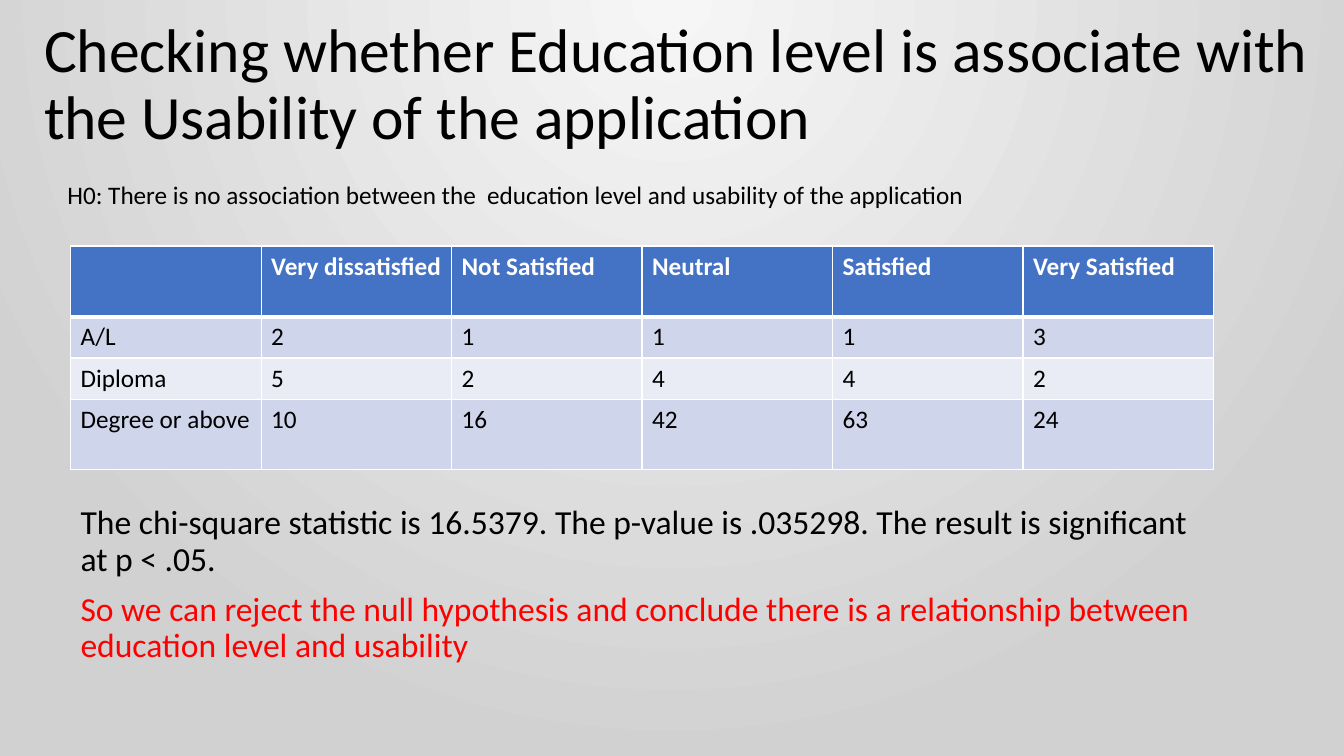
from lxml.etree import SubElement
from pptx import Presentation
from pptx.dml.color import RGBColor
from pptx.enum.text import MSO_ANCHOR
from pptx.oxml import parse_xml
from pptx.oxml.ns import nsdecls, qn
from pptx.util import Cm, Pt

BLACK = RGBColor(0x00, 0x00, 0x00)
WHITE = RGBColor(0xFF, 0xFF, 0xFF)
RED = RGBColor(0xFF, 0x00, 0x00)
HEADER_BLUE = RGBColor(0x44, 0x72, 0xC4)
BAND_DARK = RGBColor(0xCF, 0xD5, 0xEA)
BAND_LIGHT = RGBColor(0xE9, 0xEB, 0xF5)
GLOW = RGBColor(0xF6, 0xF6, 0xF6)
GREY = RGBColor(0xD2, 0xD1, 0xD1)


def write(para, text, size=18, color=BLACK, bold=False, line=None, before=None):
    para.line_spacing = line
    para.space_before = before
    span = para.add_run()
    span.text = text
    span.font.name = "Calibri"
    span.font.size = Pt(size)
    span.font.bold = bold
    span.font.color.rgb = color


def add_text_frame(left, top, width, height, anchor=MSO_ANCHOR.TOP):
    box = page.shapes.add_textbox(Cm(left), Cm(top), Cm(width), Cm(height))
    box.text_frame.word_wrap = True
    box.text_frame.vertical_anchor = anchor
    return box.text_frame


deck = Presentation()
deck.slide_width = Cm(33.87)
deck.slide_height = Cm(19.05)
page = deck.slides.add_slide(deck.slide_layouts[6])

backdrop = page.background.fill
backdrop.gradient()
for stop, color, position in zip(backdrop.gradient_stops, (GLOW, GREY), (0, 1)):
    stop.color.rgb = color
    stop.position = position
gradient = page.element.find(".//" + qn("a:gradFill"))
gradient.remove(gradient.find(qn("a:lin")))
circle = SubElement(gradient, qn("a:path"), path="circle")
SubElement(circle, qn("a:fillToRect"), l="43000", t="0", r="43000", b="100000")

title = add_text_frame(0.86, 0.33, 32.46, 3.68, MSO_ANCHOR.MIDDLE)
write(title.paragraphs[0],
      "Checking whether Education level is associate with the Usability of the application",
      size=44, line=0.9)

findings = add_text_frame(1.78, 12.62, 29.21, 5.28)
write(findings.paragraphs[0],
      "The chi-square statistic is 16.5379. The p-value is .035298. "
      "The result is significant at p < .05.",
      size=24, line=0.9, before=Pt(10))
write(findings.add_paragraph(),
      "So we can reject the null hypothesis and conclude there is a relationship "
      "between education level and usability",
      size=24, color=RED, line=0.9, before=Pt(10))

answers = [
    ["", "Very dissatisfied", "Not Satisfied", "Neutral", "Satisfied", "Very Satisfied"],
    ["A/L", "2", "1", "1", "1", "3"],
    ["Diploma", "5", "2", "4", "4", "2"],
    ["Degree or above", "10", "16", "42", "63", "24"],
]
row_heights = [1.78, 1.04, 1.04, 1.78]
row_fills = [HEADER_BLUE, BAND_DARK, BAND_LIGHT, BAND_DARK]
table = page.shapes.add_table(
    len(answers), len(answers[0]), Cm(1.78), Cm(6.2), Cm(28.78), Cm(sum(row_heights))
).table
for column in table.columns:
    column.width = Cm(4.8)

for row_index, labels in enumerate(answers):
    table.rows[row_index].height = Cm(row_heights[row_index])
    is_header = row_index == 0
    weights = {"L": 1, "R": 1, "T": 3 if row_index == 1 else 1, "B": 3 if is_header else 1}
    for column_index, label in enumerate(labels):
        cell = table.cell(row_index, column_index)
        cell.fill.solid()
        cell.fill.fore_color.rgb = row_fills[row_index]
        if label:
            write(cell.text_frame.paragraphs[0], label,
                  color=WHITE if is_header else BLACK, bold=is_header)
        properties = cell._tc.get_or_add_tcPr()
        for order, (side, weight) in enumerate(weights.items()):
            properties.insert(order, parse_xml(
                f'<a:ln{side} {nsdecls("a")} w="{Pt(weight)}"><a:solidFill>'
                f'<a:srgbClr val="{WHITE}"/></a:solidFill></a:ln{side}>'))

hypothesis = add_text_frame(1.45, 4.39, 26.82, 1.02)
write(hypothesis.paragraphs[0],
      "H0: There is no association between the  education level and usability of the application")

deck.save("out.pptx")
